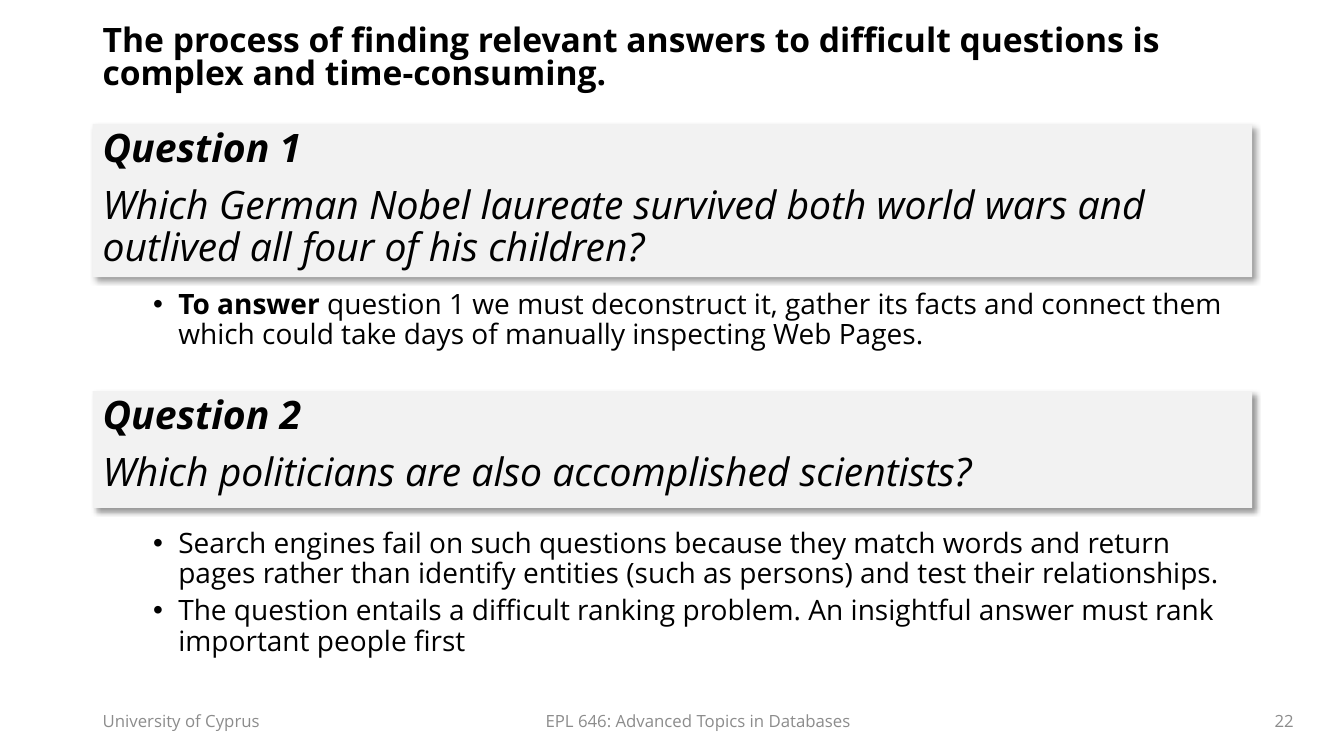
from dataclasses import dataclass

from lxml.etree import SubElement
from pptx import Presentation
from pptx.dml.color import RGBColor
from pptx.enum.shapes import MSO_SHAPE as Preset
from pptx.enum.text import MSO_ANCHOR as Anchor, PP_ALIGN as Align
from pptx.oxml.ns import qn
from pptx.shapes.autoshape import Shape
from pptx.slide import Slide
from pptx.util import Inches, Pt


@dataclass(frozen=True)
class Theme:
    font: str = "Open Sans"
    ink: str = "000000"
    muted: str = "8C8C8C"
    panel: str = "F2F2F2"
    title: int = 24
    question: int = 28
    answer: int = 20
    footer: int = 12


@dataclass(frozen=True)
class Words:
    text: str
    size: int
    bold: bool = False
    italic: bool = False
    color: str = "000000"


@dataclass(frozen=True)
class Layout:
    spacing: float = 1.0
    before: int = 0
    bulleted: bool = False
    align: Align = Align.LEFT
    anchor: Anchor = Anchor.TOP


@dataclass(frozen=True)
class Question:
    heading: str
    wording: str
    top: float
    height: float


@dataclass(frozen=True)
class Answer:
    paragraphs: list[list[Words]]
    top: float
    height: float


@dataclass(frozen=True)
class Footer:
    text: str
    left: float
    width: float
    align: Align


THEME = Theme()
LEFT, WIDTH = 0.92, 11.5
FOOTER_TOP, FOOTER_HEIGHT = 6.95, 0.4

TITLE = Words(
    "The process of finding relevant answers to difficult questions is complex and time-consuming.",
    THEME.title, bold=True)

QUESTIONS = [
    Question("Question 1",
             "Which German Nobel laureate survived both world wars and outlived all four of his children?",
             1.23, 1.52),
    Question("Question 2", "Which politicians are also accomplished scientists?", 3.88, 1.16),
]

ANSWERS = [
    Answer([[Words("To answer ", THEME.answer, bold=True),
             Words("question 1 we must deconstruct it, gather its facts and connect them "
                   "which could take days of manually inspecting Web Pages.", THEME.answer)]],
           2.83, 0.89),
    Answer([[Words("Search engines fail on such questions because they match words and return pages "
                   "rather than identify entities (such as persons) and test their relationships.",
                   THEME.answer)],
            [Words("The question entails a difficult ranking problem. "
                   "An insightful answer must rank important people first", THEME.answer)]],
           5.2, 1.69),
]

FOOTERS = [
    Footer("University of Cyprus", 0.92, 3, Align.LEFT),
    Footer("EPL 646: Advanced Topics in Databases", 4.42, 5.01, Align.CENTER),
    Footer("22", 9.93, 3, Align.RIGHT),
]

TITLE_LAYOUT = Layout(spacing=0.8)
QUESTION_LAYOUT = Layout(spacing=0.9, before=10)
ANSWER_LAYOUT = Layout(spacing=0.9, before=5, bulleted=True)


def write(shape: Shape, paragraphs: list[list[Words]], layout: Layout) -> None:
    frame = shape.text_frame
    frame.word_wrap = True
    frame.vertical_anchor = layout.anchor
    for index, pieces in enumerate(paragraphs):
        paragraph = frame.paragraphs[0] if index == 0 else frame.add_paragraph()
        paragraph.alignment = layout.align
        paragraph.line_spacing = layout.spacing
        if index:
            paragraph.space_before = Pt(layout.before)
        if layout.bulleted:
            paragraph.level = 1
            properties = paragraph._p.get_or_add_pPr()
            properties.set("marL", str(Inches(0.75)))
            properties.set("indent", str(Inches(-0.25)))
            SubElement(properties, qn("a:buFont"), typeface="Arial")
            SubElement(properties, qn("a:buChar"), char="•")
        for words in pieces:
            run = paragraph.add_run()
            run.text = words.text
            run.font.name = THEME.font
            run.font.size = Pt(words.size)
            run.font.bold = words.bold
            run.font.italic = words.italic
            run.font.color.rgb = RGBColor.from_string(words.color)


def add_text(slide: Slide, left: float, top: float, width: float, height: float,
             paragraphs: list[list[Words]], layout: Layout) -> None:
    box = slide.shapes.add_textbox(Inches(left), Inches(top), Inches(width), Inches(height))
    write(box, paragraphs, layout)


def cast_shadow(shape: Shape) -> None:
    shape.shadow.inherit = False
    effects = shape._element.spPr.find(qn("a:effectLst"))
    shadow = SubElement(effects, qn("a:outerShdw"), blurRad=str(Pt(4)), dist=str(Pt(3)),
                        dir=str(45 * 60000), algn="tl", rotWithShape="0")
    color = SubElement(shadow, qn("a:srgbClr"), val=THEME.ink)
    SubElement(color, qn("a:alpha"), val="40000")


def add_question(slide: Slide, question: Question) -> None:
    panel = slide.shapes.add_shape(Preset.RECTANGLE, Inches(LEFT), Inches(question.top),
                                   Inches(WIDTH), Inches(question.height))
    panel.fill.solid()
    panel.fill.fore_color.rgb = RGBColor.from_string(THEME.panel)
    panel.line.fill.background()
    cast_shadow(panel)
    write(panel, [[Words(question.heading, THEME.question, bold=True, italic=True)],
                  [Words(question.wording, THEME.question, italic=True)]], QUESTION_LAYOUT)


def main() -> None:
    deck = Presentation()
    deck.slide_width, deck.slide_height = Inches(13.33), Inches(7.5)
    slide = deck.slides.add_slide(deck.slide_layouts[6])
    add_text(slide, LEFT, 0.22, WIDTH, 0.76, [[TITLE]], TITLE_LAYOUT)
    for question, answer in zip(QUESTIONS, ANSWERS):
        add_question(slide, question)
        add_text(slide, LEFT, answer.top, WIDTH, answer.height, answer.paragraphs, ANSWER_LAYOUT)
    for footer in FOOTERS:
        add_text(slide, footer.left, FOOTER_TOP, footer.width, FOOTER_HEIGHT,
                 [[Words(footer.text, THEME.footer, color=THEME.muted)]],
                 Layout(align=footer.align, anchor=Anchor.MIDDLE))
    deck.save("out.pptx")


if __name__ == "__main__":
    main()
